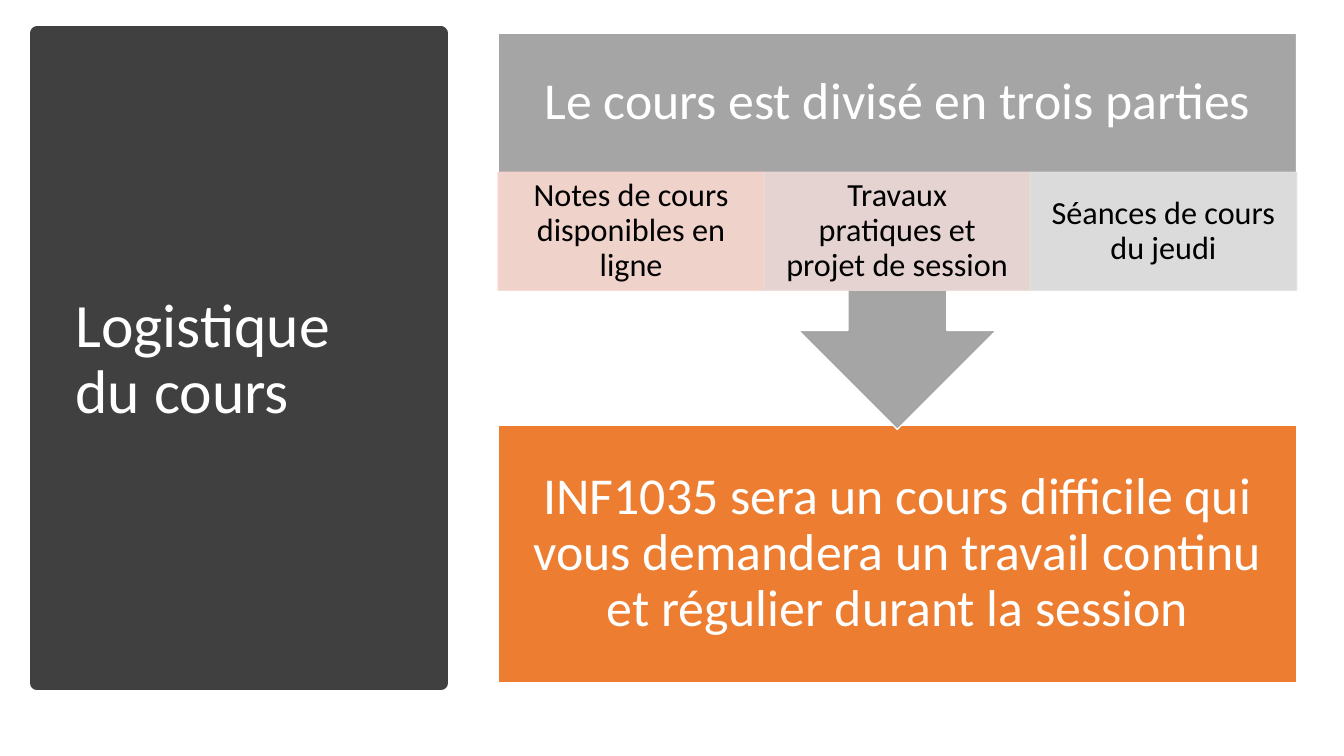
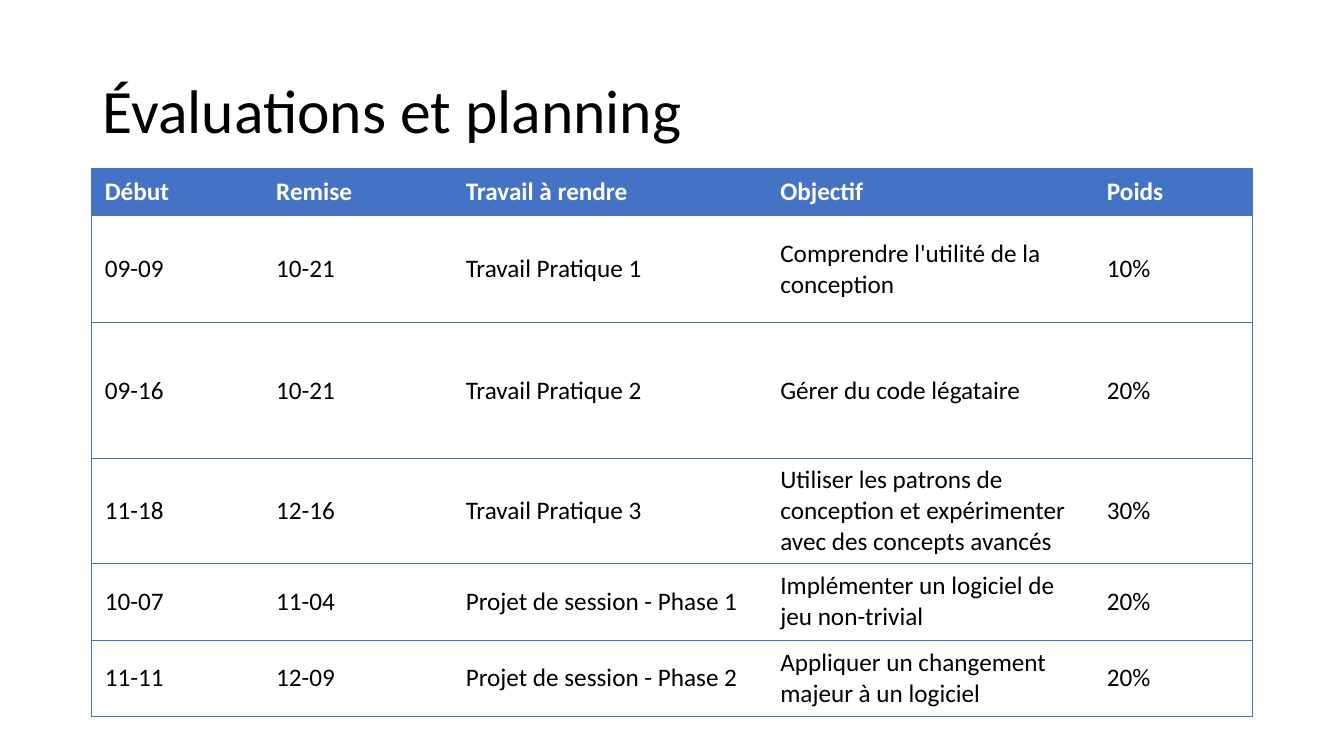
from lxml import etree
from pptx import Presentation
from pptx.dml.color import RGBColor
from pptx.enum.shapes import MSO_SHAPE
from pptx.enum.text import MSO_ANCHOR, PP_ALIGN
from pptx.oxml.ns import qn
from pptx.util import Inches, Pt

RECT = MSO_SHAPE.RECTANGLE
ARROW = MSO_SHAPE.UP_ARROW_CALLOUT
MIDDLE = MSO_ANCHOR.MIDDLE
LEFT = PP_ALIGN.LEFT
CENTER = PP_ALIGN.CENTER

FONT = "Calibri"
WHITE = RGBColor(0xFF, 0xFF, 0xFF)
BLACK = RGBColor(0x00, 0x00, 0x00)
DARK = RGBColor(0x40, 0x40, 0x40)
ORANGE = RGBColor(0xED, 0x7D, 0x31)
GRAY = RGBColor(0xA5, 0xA5, 0xA5)
BLUE = RGBColor(0x44, 0x72, 0xC4)
PEACH = RGBColor(0xF8, 0xD7, 0xCE)
ROSE = RGBColor(0xED, 0xD9, 0xD7)
SILVER = RGBColor(0xE1, 0xE1, 0xE1)


def write(shape, text, size, color, align=LEFT, side=0.1, edge=0.05):
    frame = shape.text_frame
    frame.text = text
    frame.word_wrap = True
    frame.vertical_anchor = MIDDLE
    frame.margin_left = frame.margin_right = Inches(side)
    frame.margin_top = frame.margin_bottom = Inches(edge)
    para = frame.paragraphs[0]
    para.alignment = align
    para.line_spacing = 0.9
    font = para.runs[0].font
    font.name = FONT
    font.size = Pt(size)
    font.color.rgb = color


def block(slide, kind, box, fill, line, width=1):
    shape = slide.shapes.add_shape(kind, *map(Inches, box))
    shape.shadow.inherit = False
    shape.fill.solid()
    shape.fill.fore_color.rgb = fill
    shape.line.color.rgb = line
    shape.line.width = Pt(width)
    return shape


deck = Presentation()
deck.slide_width = Inches(13.33)
deck.slide_height = Inches(7.5)
blank = deck.slide_layouts[6]

TITLES = [
    ("Logistique du cours", (0.65, 0.7, 3.46, 5.75), WHITE),
    ("Évaluations et planning", (0.92, 0.4, 11.5, 1.45), BLACK),
]
slides = [deck.slides.add_slide(blank) for title in TITLES]
plan, marks = slides

block(plan, RECT, (0.37, 0.33, 4, 6.45), DARK, DARK, 10)
for slide, (text, box, color) in zip(slides, TITLES):
    write(slide.shapes.add_textbox(*map(Inches, box)), text, 44, color)

X, Y, WIDE = 4.94, 0.33, 7.92
HEAD = 1.38
goal = block(plan, RECT, (X, 4.22, WIDE, 2.55), ORANGE, WHITE)
write(goal, "INF1035 sera un cours difficile qui vous demandera un travail continu "
      "et régulier durant la session", 37, WHITE, CENTER, 0.29, 0.29)

arrow = block(plan, ARROW, (X, Y, WIDE, 3.93), GRAY, WHITE)
arrow.rotation = 180
head = plan.shapes.add_textbox(*map(Inches, (X, Y, WIDE, HEAD)))
write(head, "Le cours est divisé en trois parties", 37, WHITE, CENTER, 0.29, 0.29)

PARTS = [
    ("Notes de cours disponibles en ligne", PEACH),
    ("Travaux pratiques et projet de session", ROSE),
    ("Séances de cours du jeudi", SILVER),
]
step = WIDE / len(PARTS)
for i, (text, color) in enumerate(PARTS):
    part = block(plan, RECT, (X + i * step, Y + HEAD, step, 1.17), color, color)
    for tint in part._element.spPr.iter(qn("a:srgbClr")):
        etree.SubElement(tint, qn("a:alpha"), val="90000")
    write(part, text, 23, BLACK, CENTER, 0.18, 0.03)

ROWS = [
    ("Début", "Remise", "Travail à rendre", "Objectif", "Poids"),
    ("09-09", "10-21", "Travail Pratique 1", "Comprendre l'utilité de la conception", "10%"),
    ("09-16", "10-21", "Travail Pratique 2", "Gérer du code légataire", "20%"),
    ("11-18", "12-16", "Travail Pratique 3",
     "Utiliser les patrons de conception et expérimenter avec des concepts avancés", "30%"),
    ("10-07", "11-04", "Projet de session - Phase 1",
     "Implémenter un logiciel de jeu non-trivial", "20%"),
    ("11-11", "12-09", "Projet de session - Phase 2",
     "Appliquer un changement majeur à un logiciel", "20%"),
]
WIDTHS = [1.7, 1.88, 3.12, 3.24, 1.57]
HEIGHTS = [0.47, 1.06, 1.35, 1.04, 0.76, 0.76]

grid = marks.shapes.add_table(len(ROWS), len(WIDTHS), Inches(0.91), Inches(1.67),
                              Inches(sum(WIDTHS)), Inches(sum(HEIGHTS))).table
grid.horz_banding = False
for col, width in zip(grid.columns, WIDTHS):
    col.width = Inches(width)
for row, height in zip(grid.rows, HEIGHTS):
    row.height = Inches(height)

for r, texts in enumerate(ROWS):
    for c, text in enumerate(texts):
        cell = grid.cell(r, c)
        cell.text = text
        cell.vertical_anchor = MIDDLE
        cell.margin_left = cell.margin_right = Inches(0.13)
        cell.margin_top = cell.margin_bottom = Inches(0.06)
        font = cell.text_frame.paragraphs[0].runs[0].font
        font.name = FONT
        font.size = Pt(18)
        font.bold = r == 0
        font.color.rgb = BLACK if r else WHITE
        sides = {"L": c == 0, "R": c == len(WIDTHS) - 1, "T": True, "B": True}
        props = cell._tc.get_or_add_tcPr()
        for side, drawn in sides.items():
            line = etree.SubElement(props, qn("a:ln" + side), w=str(Pt(0.5)))
            if drawn:
                paint = etree.SubElement(line, qn("a:solidFill"))
                etree.SubElement(paint, qn("a:srgbClr"), val=str(BLUE))
            else:
                etree.SubElement(line, qn("a:noFill"))
        cell.fill.solid()
        cell.fill.fore_color.rgb = WHITE if r else BLUE

deck.save("out.pptx")
